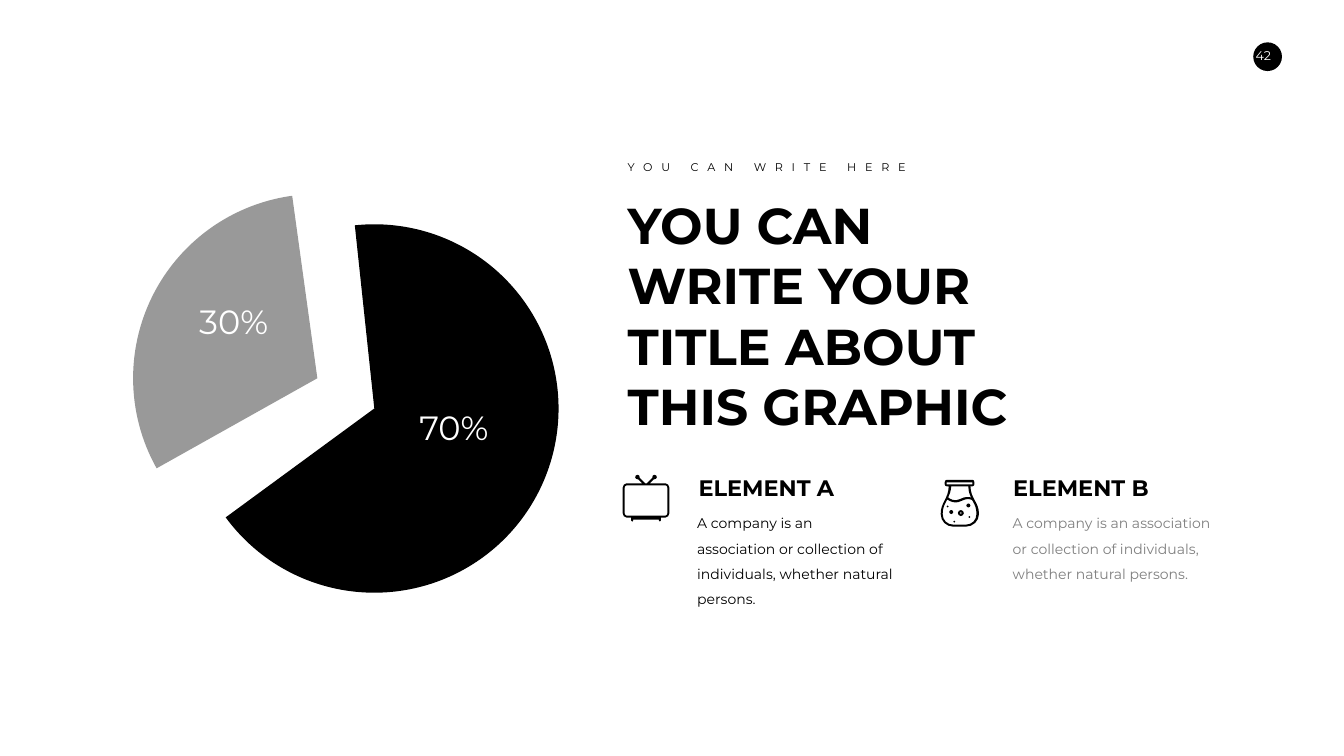
from lxml.etree import SubElement
from pptx import Presentation
from pptx.dml.color import RGBColor
from pptx.enum.shapes import MSO_SHAPE as Preset
from pptx.enum.text import MSO_ANCHOR as Anchor, MSO_AUTO_SIZE as AutoSize, PP_ALIGN as Align
from pptx.oxml.ns import qn
from pptx.util import Pt

PX = 9144
FONT = "Montserrat"
BLACK, WHITE, GREY, MID_GREY = "000000", "FFFFFF", "999999", "7F7F7F"

PAGE_NUMBER = "42"
KICKER = "YOU CAN WRITE HERE"
HEADING = ["YOU CAN", "WRITE YOUR", "TITLE ABOUT", "THIS GRAPHIC"]
DESCRIPTION = "A company is an association or collection of individuals, whether natural persons."

PIE_SIZE = 731
SLICES = [
    {"at": (377, 445), "angles": (263.93, 143.76), "colour": BLACK,
     "label": "70%", "label_at": (753, 803)},
    {"at": (264, 385), "angles": (150.73, 262.15), "colour": GREY,
     "label": "30%", "label_at": (316, 592)},
]

ELEMENTS = [
    {"name": "ELEMENT A", "name_left": 1376, "left": 1373, "width": 411, "colour": BLACK},
    {"name": "ELEMENT B", "name_left": 2000, "left": 1999, "width": 413, "colour": MID_GREY},
]

TELEVISION = [
    [(8, 17), (39, 17), (31, 9), (30, 9), (27, 9, 25, 7, 25, 5), (25, 2, 27, 0, 30, 0),
     (32, 0, 34, 2, 34, 5), (34, 6), (45, 17), (48, 17), (59, 6), (59, 5),
     (59, 2, 61, 0, 63, 0), (66, 0, 68, 2, 68, 5), (68, 7, 66, 9, 63, 9), (62, 9),
     (54, 17), (85, 17), (89, 17, 93, 21, 93, 26), (93, 76), (93, 81, 89, 85, 85, 85),
     (76, 85), (76, 91), (76, 92, 75, 93, 74, 93), (73, 93, 72, 92, 72, 91), (72, 89),
     (21, 89), (21, 91), (21, 92, 20, 93, 19, 93), (18, 93, 17, 92, 17, 91), (17, 85),
     (8, 85), (4, 85, 0, 81, 0, 76), (0, 26), (0, 21, 4, 17, 8, 17)],
    [(4, 76), (4, 79, 6, 81, 8, 81), (85, 81), (87, 81, 89, 79, 89, 76), (89, 26),
     (89, 23, 87, 21, 85, 21), (8, 21), (6, 21, 4, 23, 4, 26)],
]
FLASK = [
    [(16, 13), (12, 13), (10, 13, 8, 11, 8, 9), (8, 5), (8, 2, 10, 0, 12, 0), (63, 0),
     (65, 0, 67, 2, 67, 5), (67, 9), (67, 11, 65, 13, 63, 13), (59, 13),
     (60, 39, 76, 44, 76, 68), (76, 82, 64, 93, 50, 93), (25, 93),
     (11, 93, 0, 82, 0, 68), (0, 44, 15, 39, 16, 13)],
    [(63, 5), (12, 5), (12, 9), (63, 9)],
    [(55, 13), (21, 13), (20, 23, 18, 29, 15, 35), (18, 38, 28, 44, 39, 38),
     (48, 33, 55, 34, 60, 35), (57, 29, 55, 22, 55, 13)],
    [(25, 89), (50, 89), (62, 89, 71, 80, 71, 68), (71, 57, 68, 50, 64, 43),
     (63, 42, 63, 41, 62, 40), (62, 40, 53, 35, 41, 42), (37, 44, 33, 45, 30, 45),
     (22, 45, 16, 41, 13, 39), (13, 40, 12, 42, 11, 43), (7, 50, 4, 57, 4, 68),
     (4, 80, 13, 89, 25, 89)],
]
BUBBLES = [(27, 83, 2), (40, 66, 2), (40, 66, 6), (21, 64, 4), (14, 53, 2), (55, 51, 4), (57, 74, 2)]


def rgb(colour):
    return RGBColor.from_string(colour)


def paint(shape, colour):
    shape.shadow.inherit = False
    shape.fill.solid()
    shape.fill.fore_color.rgb = rgb(colour)
    shape.line.fill.background()


def write(box, lines, size, colour, bold=False, align=Align.LEFT, spacing=None):
    frame = box.text_frame
    frame.word_wrap = True
    frame.auto_size = AutoSize.NONE
    frame.vertical_anchor = Anchor.TOP
    frame.text = "\n".join(lines)
    for line in frame.paragraphs:
        line.alignment = align
        line.line_spacing = spacing
        line.font.name = FONT
        line.font.size = Pt(size)
        line.font.bold = bold
        line.font.color.rgb = rgb(colour)


def add_text(left, top, width, height, text, size, colour, **style):
    box = slide.shapes.add_textbox(left * PX, top * PX, width * PX, height * PX)
    write(box, [text], size, colour, **style)
    return box


def add_preset(preset, left, top, size, colour):
    shape = slide.shapes.add_shape(preset, left * PX, top * PX, size * PX, size * PX)
    paint(shape, colour)
    return shape


def circle(x, y, r):
    k = round(r * 0.55)
    return [(x, y - r),
            (x + k, y - r, x + r, y - k, x + r, y),
            (x + r, y + k, x + k, y + r, x, y + r),
            (x - k, y + r, x - r, y + k, x - r, y),
            (x - r, y - k, x - k, y - r, x, y - r)]


def add_icon(left, top, contours):
    builder = slide.shapes.build_freeform(*contours[0][0], scale=PX)
    for index, contour in enumerate(contours):
        if index:
            builder.move_to(*contour[0])
        builder.add_line_segments([step[-2:] for step in contour[1:]], close=True)
    icon = builder.convert_to_shape(left * PX, top * PX)
    paint(icon, BLACK)
    segments = list(icon._element.iter(qn("a:lnTo")))
    steps = [step for contour in contours for step in contour[1:]]
    for segment, step in zip(segments, steps):
        if len(step) == 6:
            segment.tag = qn("a:cubicBezTo")
            segment.clear()
            for x, y in zip(step[::2], step[1::2]):
                SubElement(segment, qn("a:pt"), x=str(x), y=str(y))


deck = Presentation()
deck.slide_width, deck.slide_height = 2666 * PX, 1500 * PX
slide = deck.slides.add_slide(deck.slide_layouts[5])

add_preset(Preset.OVAL, 2486, 84, 57, BLACK)
add_text(2463, 91, 86, 50, PAGE_NUMBER, 18, WHITE, align=Align.CENTER)

for piece in SLICES:
    pie = add_preset(Preset.PIE, *piece["at"], PIE_SIZE, piece["colour"])
    for index, angle in enumerate(piece["angles"]):
        pie.adjustments[index] = angle * 0.6
for piece in SLICES:
    add_text(*piece["label_at"], 295, 91, piece["label"], 48, WHITE, align=Align.CENTER)

heading = slide.shapes.title
heading.left, heading.top, heading.width, heading.height = (n * PX for n in (1235, 380, 1118, 495))
write(heading, HEADING, 72, BLACK, bold=True)

kicker = add_text(1235, 313, 685, 37, KICKER, 16, BLACK)
kicker.text_frame.paragraphs[0].runs[0].font._element.set("spc", "1260")

for element in ELEMENTS:
    add_text(element["left"], 1000, element["width"], 154, DESCRIPTION, 20, element["colour"], spacing=1.5)
    add_text(element["name_left"], 936, 394, 64, element["name"], 32, BLACK, bold=True)

add_icon(1235, 942, TELEVISION)
add_icon(1866, 952, FLASK + [circle(*bubble) for bubble in BUBBLES])

deck.save("out.pptx")
